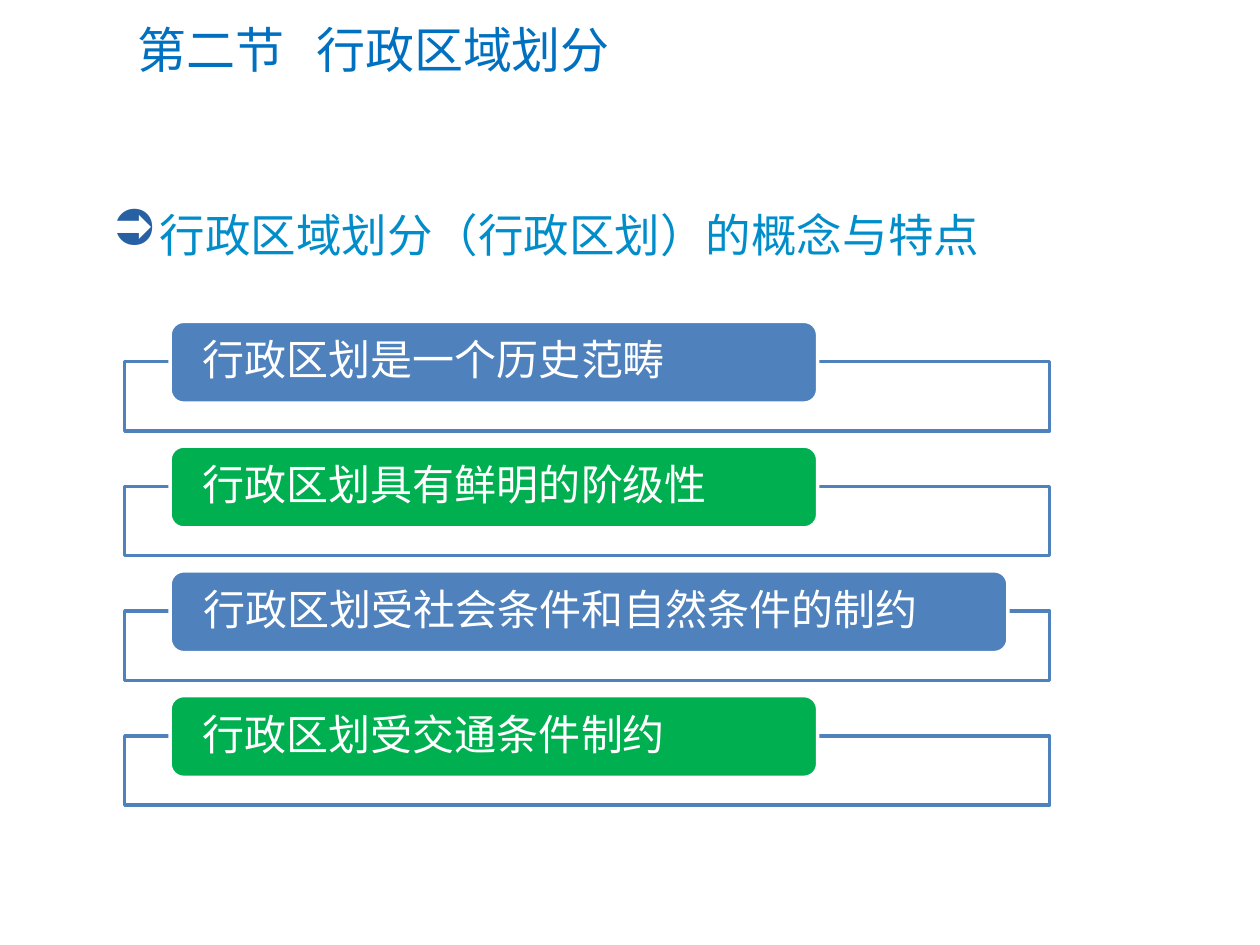
from dataclasses import dataclass

from lxml import etree
from pptx import Presentation
from pptx.dml.color import RGBColor
from pptx.enum.shapes import MSO_SHAPE
from pptx.enum.text import MSO_ANCHOR, MSO_AUTO_SIZE, PP_ALIGN
from pptx.oxml.ns import qn
from pptx.util import Inches, Pt

RECT = MSO_SHAPE.RECTANGLE
ROUND = MSO_SHAPE.ROUNDED_RECTANGLE
MIDDLE = MSO_ANCHOR.MIDDLE
NO_FIT = MSO_AUTO_SIZE.NONE
LEFT = PP_ALIGN.LEFT
TITLE_ONLY = 5


@dataclass(frozen=True)
class Theme:
    font: str = "Calibri"
    white: str = "FFFFFF"
    blue: str = "4F81BD"
    green: str = "00B050"
    title: str = "0070C0"
    head: str = "008DCA"
    mark: str = "2860A4"
    title_size: int = 28
    head_size: int = 26
    item_size: int = 24
    line: int = 2


THEME = Theme()
ITEMS = [
    ("行政区划是一个历史范畴", THEME.blue, 5.14),
    ("行政区划具有鲜明的阶级性", THEME.green, 5.14),
    ("行政区划受社会条件和自然条件的制约", THEME.blue, 6.65),
    ("行政区划受交通条件制约", THEME.green, 5.14),
]
TOP, PITCH = 2.55, 0.99


def apply(target, values):
    for name, value in values.items():
        setattr(target, name, value)


def write(para, text, size, color):
    para.alignment = LEFT
    run = para.add_run()
    run.text = text
    apply(run.font, {"name": THEME.font, "size": Pt(size), "bold": False})
    run.font.color.rgb = RGBColor.from_string(color)


def add_child(parent, tag, **attrs):
    return etree.SubElement(parent, qn(tag), attrs)


def add_title(slide, text, tab):
    """Fill the title; a tab stop (inches) sets off its second part."""
    title = slide.shapes.title
    apply(title, {"left": Inches(0.99), "top": Inches(0.1),
                  "width": Inches(8.72), "height": Inches(0.58)})
    frame = title.text_frame
    apply(frame, {"vertical_anchor": MIDDLE, "auto_size": NO_FIT})
    para = frame.paragraphs[0]
    tabs = add_child(para._p.get_or_add_pPr(), "a:tabLst")
    add_child(tabs, "a:tab", pos=str(Inches(tab)), algn="l")
    write(para, text, THEME.title_size, THEME.title)


def add_head(slide, text):
    """Add the subheading with its arrow bullet."""
    box = slide.shapes.add_textbox(
        Inches(0.79), Inches(1.59), Inches(8.34), Inches(0.54))
    box.text_frame.word_wrap = True
    para = box.text_frame.paragraphs[0]
    props = para._p.get_or_add_pPr()
    indent = Inches(0.38)
    props.set("marL", str(indent))
    props.set("indent", str(-indent))
    color = add_child(props, "a:buClr")
    add_child(color, "a:srgbClr", val=THEME.mark)
    add_child(props, "a:buSzPct", val="110000")
    add_child(props, "a:buChar", char="➲")
    write(para, text, THEME.head_size, THEME.head)


def add_box(slide, kind, place, fill, line):
    box = slide.shapes.add_shape(kind, *map(Inches, place))
    box.shadow.inherit = False
    box.fill.solid()
    box.fill.fore_color.rgb = RGBColor.from_string(fill)
    box.line.color.rgb = RGBColor.from_string(line)
    box.line.width = Pt(THEME.line)
    return box


def add_item(slide, top, text, fill, width):
    """Add a frame with a filled label over its top edge."""
    frame = add_box(slide, RECT, (0.99, top + 0.32, 7.34, 0.55),
                    THEME.white, THEME.blue)
    tint = frame.fill._xPr.find(".//" + qn("a:srgbClr"))
    add_child(tint, "a:alpha", val="90000")
    label = add_box(slide, ROUND, (1.35, top, width, 0.65), fill, THEME.white)
    body = label.text_frame
    apply(body, {"vertical_anchor": MIDDLE, "word_wrap": True,
                 "margin_left": Inches(0.23), "margin_right": Inches(0.23),
                 "margin_top": Inches(0.03), "margin_bottom": Inches(0.03)})
    para = body.paragraphs[0]
    para.line_spacing = 0.9
    write(para, text, THEME.item_size, THEME.white)


def main():
    deck = Presentation()
    apply(deck, {"slide_width": Inches(10), "slide_height": Inches(7.5)})
    slide = deck.slides.add_slide(deck.slide_layouts[TITLE_ONLY])
    add_title(slide, "第二节\t行政区域划分", 1.42)
    add_head(slide, "行政区域划分（行政区划）的概念与特点")
    for row, item in enumerate(ITEMS):
        add_item(slide, TOP + row * PITCH, *item)
    deck.save("out.pptx")


if __name__ == "__main__":
    main()
